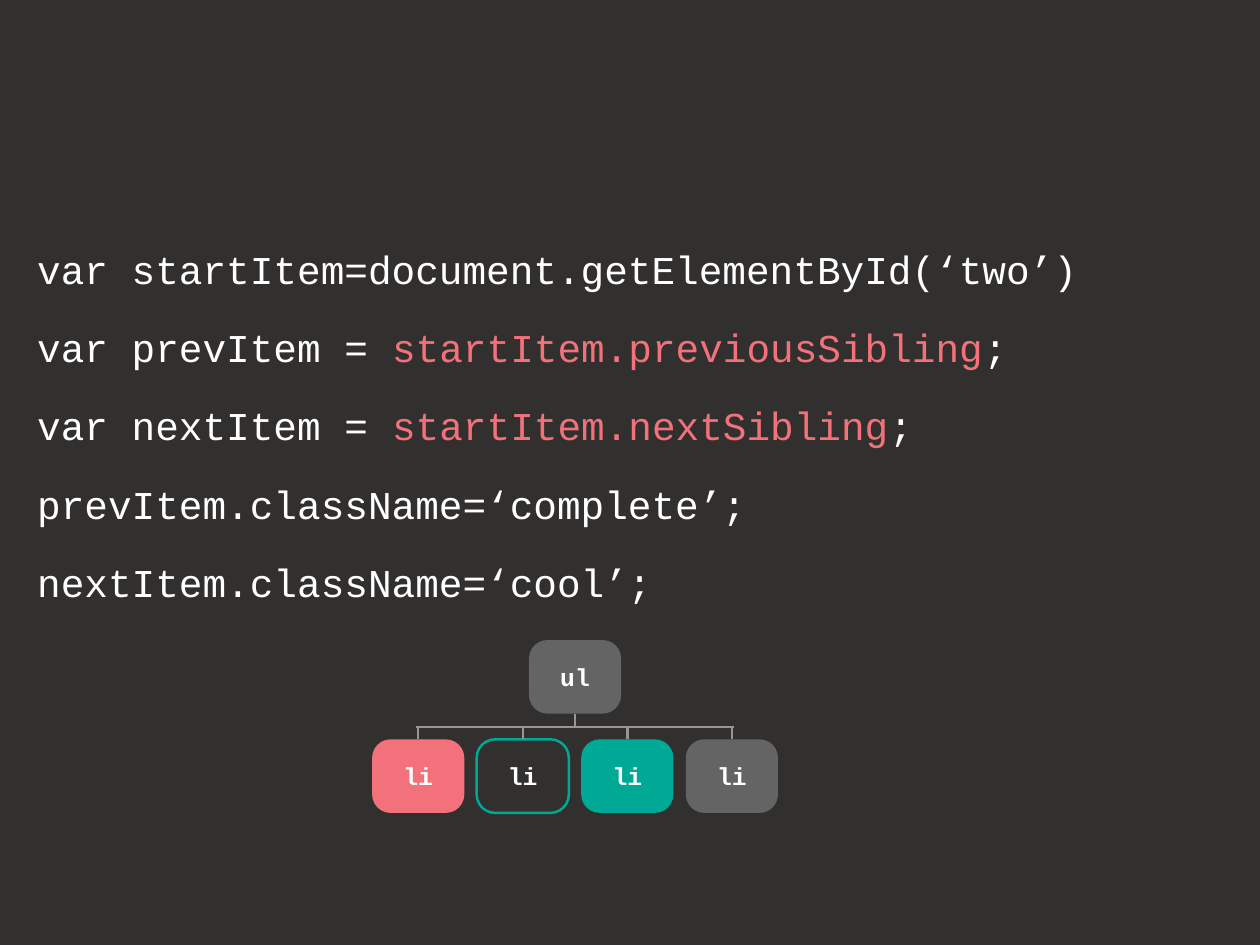
from pptx import Presentation, util as u
from pptx.dml.color import RGBColor
from pptx.enum import shapes, text
from pptx.oxml.ns import qn
from lxml import etree

# Content
COLORS = {"back": "32302E", "white": "FFFFFF", "pink": "F2717A",
          "teal": "00A996", "gray": "646464", "wire": "969696"}
CODE = [
    [("var startItem=document.getElementById(‘two’)", "white")],
    [("var prevItem = ", "white"), ("startItem.previousSibling", "pink"), (";", "white")],
    [("var nextItem = ", "white"), ("startItem.nextSibling", "pink"), (";", "white")],
    [("prevItem.className=‘complete’;", "white")],
    [("nextItem.className=‘cool’;", "white")],
]
ROOT = ("ul", "gray", None)
ITEMS = [("li", "pink", None), ("li", None, "teal"),
         ("li", "teal", None), ("li", "gray", None)]
FONT = "Courier New"

# Grid of the tree, in inches
WIDE, HIGH = 14.22, 10.66
NODE_W, NODE_H = 1.04, 0.83
LEFT, STEP = 4.2, 1.18
ROOT_Y, BAR_Y, ITEM_Y = 7.22, 8.2, 8.34
OVER = 0.02  # bar reaches past the outer stems

deck = Presentation()
deck.slide_width, deck.slide_height = u.Inches(WIDE), u.Inches(HIGH)
slide = deck.slides.add_slide(deck.slide_layouts[6])


def color(name):
    return RGBColor.from_string(COLORS[name])


def write(shape, lines, size, bold=False, align="LEFT", anchor="MIDDLE",
          spacing=1.0, after=0):
    frame = shape.text_frame
    frame.word_wrap = True
    frame.vertical_anchor = text.MSO_ANCHOR[anchor]
    frame.margin_left = frame.margin_right = 0
    frame.margin_top = frame.margin_bottom = 0
    for i, line in enumerate(lines):
        para = frame.add_paragraph() if i else frame.paragraphs[0]
        para.alignment = text.PP_ALIGN[align]
        para.line_spacing = spacing
        para.space_after = u.Pt(after)
        for words, tint in line:
            run = para.add_run()
            run.text = words
            run.font.name, run.font.size = FONT, u.Pt(size)
            run.font.bold = bold
            run.font.color.rgb = color(tint)


def node(col, y, label, fill, edge):
    box = slide.shapes.add_shape(
        shapes.MSO_SHAPE.ROUNDED_RECTANGLE, u.Inches(LEFT + col * STEP),
        u.Inches(y), u.Inches(NODE_W), u.Inches(NODE_H))
    box.adjustments[0] = 0.25
    box.shadow.inherit = False
    if fill:
        box.fill.solid()
        box.fill.fore_color.rgb = color(fill)
    else:
        box.fill.background()
    if edge:
        box.line.color.rgb = color(edge)
        box.line.width = u.Pt(2)
    else:
        box.line.fill.background()
    write(box, [[(label, "white")]], 20, bold=True, align="CENTER")
    return box


def wire(x1, y1, x2, y2):
    line = slide.shapes.add_connector(
        shapes.MSO_CONNECTOR.STRAIGHT, *map(u.Inches, (x1, y1, x2, y2)))
    line.line.color.rgb = color("wire")
    line.line.width = u.Pt(2)
    etree.SubElement(line._element.spPr, qn("a:effectLst"))
    return line


def center(col):
    return LEFT + col * STEP + NODE_W / 2


# Background
slide.background.fill.solid()
slide.background.fill.fore_color.rgb = color("back")

# Code
area = slide.shapes.add_textbox(*map(u.Inches, (0.42, 2.87, 12.5, 3.82)))
write(area, CODE, 32, anchor="TOP", spacing=0.8, after=32.7)

# Tree: root, items, stems and bar
last = len(ITEMS) - 1
mid = last / 2
root = node(mid, ROOT_Y, *ROOT)
for col, item in enumerate(ITEMS):
    box = node(col, ITEM_Y, *item)
    wire(center(col), BAR_Y, center(col), ITEM_Y).end_connect(box, 0)
wire(center(mid), ROOT_Y + NODE_H, center(mid), BAR_Y).begin_connect(root, 2)
wire(center(0) - OVER, BAR_Y, center(last) + OVER, BAR_Y)

deck.save("out.pptx")
